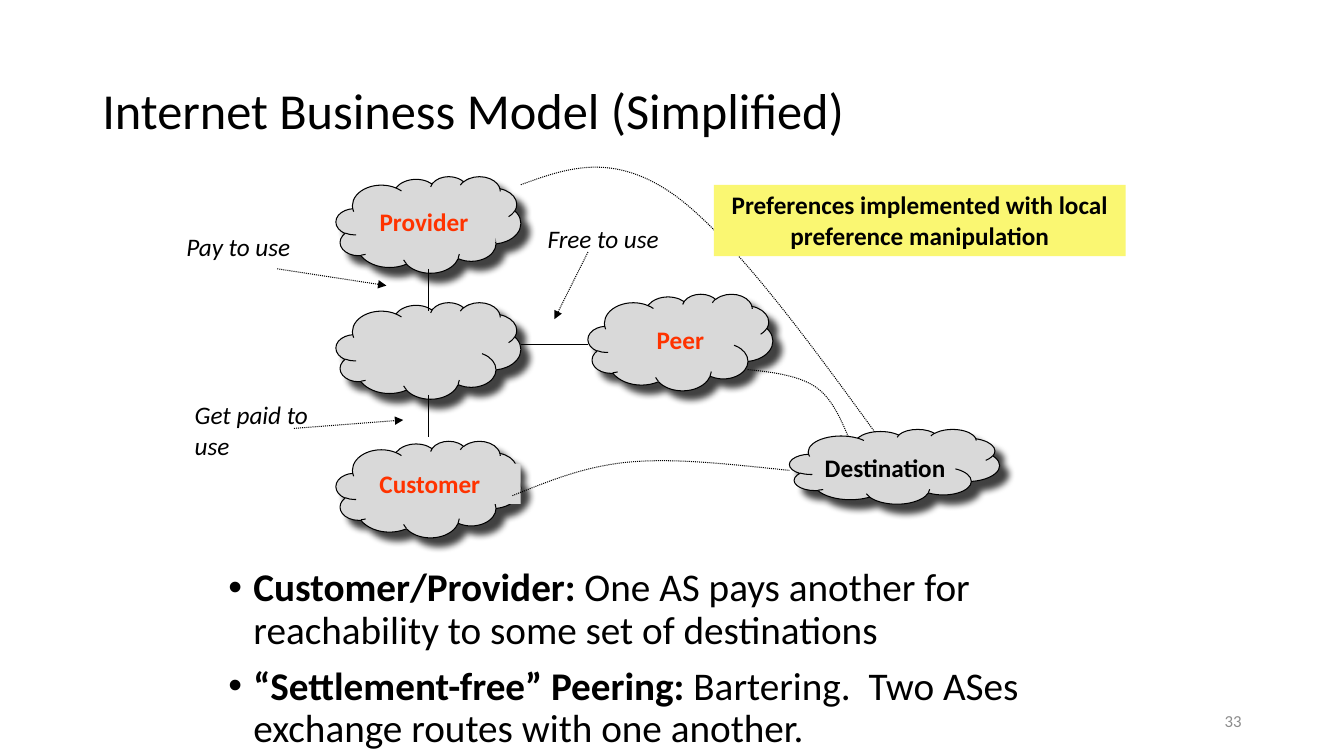
from lxml.etree import SubElement
from pptx import Presentation
from pptx.dml.color import RGBColor
from pptx.enum.dml import MSO_LINE
from pptx.enum.shapes import MSO_CONNECTOR, MSO_SHAPE
from pptx.enum.text import MSO_ANCHOR, PP_ALIGN
from pptx.oxml.ns import qn
from pptx.util import Emu, Inches, Pt

COLUMNS, ROWS = 160, 90
CELL = Inches(1 / 12)
COLORS = {"ink": "000000", "accent": "FF3300", "cloud": "D9D9D9",
          "note": "FAF772", "number": "8C8C8C"}
CLOUD_SIZE = (22, 11.5)
CLOUDS = [(20, 18, *CLOUD_SIZE), (50, 17, *CLOUD_SIZE),
          (20, 3, *CLOUD_SIZE), (20, 34.5, *CLOUD_SIZE)]
DESTINATION_CLOUD = (74, 33.1, 25, 8.9)
ROLES = [("Provider", (24, 6, 15, 4.8), "cloud"),
         ("Peer", (57, 20, 15, 4.8), None),
         ("Customer", (24, 37.2, 18, 4.8), "cloud")]
REMARKS = [("Pay to use", (1, 9, 17, 4.8)),
           ("Get paid to use", (2, 29, 17, 8.5)),
           ("Free to use", (44, 8, 20, 4.8))]
LINKS = [((31, 14), (31, 19)), ((31, 29), (31, 34)), ((42, 23), (50, 23))]
POINTERS = [((13, 14), (26, 16)), ((15, 33), (28, 32)), ((50, 12), (46, 20))]
PROVIDER_ROUTE = [(42, 4), (47.5, 2), (53, 0), (60.4, 5.3),
                  (67.7, 10.7), (76.8, 23.3), (86, 36)]
PEER_ROUTE = [(69, 26), (72, 26.3), (75, 26.7), (77, 28),
              (79, 29.3), (80, 31.7), (81, 34)]
CUSTOMER_ROUTE = [(41, 41), (45.3, 39.3), (49.5, 37.5), (55, 37),
                  (60.5, 36.5), (67.2, 37.3), (74, 38)]
BULLETS = [("Customer/Provider:",
            " One AS pays another for reachability to some set of destinations"),
           ("“Settlement-free” Peering: ",
            "Bartering.  Two ASes exchange routes with one another.")]


def color(name):
    """Return the named colour."""
    return RGBColor.from_string(COLORS[name])


def cells(*values):
    """Turn grid cells into lengths."""
    return [Emu(round(value * CELL)) for value in values]


def within(box, part):
    """Shift a part's box or point by the corner of the enclosing box."""
    return (box[0] + part[0], box[1] + part[1], *part[2:])


def add_run(paragraph, text, ink="ink", **formats):
    """Append a run with the given font formats."""
    run = paragraph.add_run()
    run.text = text
    for name, value in {"name": "Calibri", **formats}.items():
        setattr(run.font, name, value)
    run.font.color.rgb = color(ink)


def add_text(slide, box, text="", ink="ink", fill=None, align=PP_ALIGN.LEFT,
             anchor=MSO_ANCHOR.TOP, **formats):
    """Add a wrapping text box, optionally filled, and return its frame."""
    if fill:
        shape = slide.shapes.add_shape(MSO_SHAPE.RECTANGLE, *cells(*box))
        shape.shadow.inherit = False
        shape.fill.solid()
        shape.fill.fore_color.rgb = color(fill)
        shape.line.fill.background()
    else:
        shape = slide.shapes.add_textbox(*cells(*box))
    frame = shape.text_frame
    frame.word_wrap = True
    frame.vertical_anchor = anchor
    paragraph = frame.paragraphs[0]
    paragraph.alignment = align
    if text:
        add_run(paragraph, text, ink, **formats)
    return frame


def style_line(line, dotted=False):
    """Draw a thin dark line, dotted on request."""
    line.color.rgb = color("ink")
    line.width = Pt(0.75)
    if dotted:
        line.dash_style = MSO_LINE.ROUND_DOT


def add_cloud(slide, box):
    """Add a grey cloud with a soft shadow."""
    cloud = slide.shapes.add_shape(MSO_SHAPE.CLOUD, *cells(*box))
    cloud.fill.solid()
    cloud.fill.fore_color.rgb = color("cloud")
    style_line(cloud.line)
    cloud.shadow.inherit = False
    effects = cloud._element.spPr.find(qn("a:effectLst"))
    shadow = SubElement(effects, qn("a:outerShdw"), blurRad=str(Pt(5)),
                        dist=str(Pt(8.5)), dir="2700000", algn="tl", rotWithShape="0")
    tint = SubElement(shadow, qn("a:srgbClr"), val=COLORS["ink"])
    SubElement(tint, qn("a:alpha"), val="75000")


def add_route(slide, box, points):
    """Add a dotted Bézier curve through a start and triples of points."""
    start, *rest = [cells(*within(box, point)) for point in points]
    builder = slide.shapes.build_freeform(*start)
    builder.add_line_segments(rest, close=False)
    route = builder.convert_to_shape()
    segments = route._element.xpath(".//a:lnTo")
    outline = segments[0].getparent()
    for first in range(0, len(segments), 3):
        curve = SubElement(outline, qn("a:cubicBezTo"))
        for segment in segments[first:first + 3]:
            curve.append(segment[0])
            outline.remove(segment)
    route.fill.background()
    style_line(route.line, dotted=True)
    route.shadow.inherit = False


def add_link(slide, box, start, end, pointer=False):
    """Add a plain link, or a dotted pointer with an arrowhead."""
    link = slide.shapes.add_connector(
        MSO_CONNECTOR.STRAIGHT, *cells(*within(box, start), *within(box, end)))
    style_line(link.line, dotted=pointer)
    if pointer:
        SubElement(link.line._get_or_add_ln(), qn("a:tailEnd"), type="triangle")
    SubElement(link._element.spPr, qn("a:effectLst"))


def add_diagram(slide, box):
    """Add the clouds, routes, links and remarks."""
    add_route(slide, box, PROVIDER_ROUTE)
    for cloud in CLOUDS:
        add_cloud(slide, within(box, cloud))
    for text, place, fill in ROLES:
        add_text(slide, within(box, place), text, "accent", fill,
                 size=Pt(18), bold=True)
    for start, end in LINKS:
        add_link(slide, box, start, end)
    add_text(slide, within(box, (65, 4, 49, 8.5)),
             "Preferences implemented with local preference manipulation",
             fill="note", align=PP_ALIGN.CENTER, size=Pt(18), bold=True)
    add_cloud(slide, within(box, DESTINATION_CLOUD))
    for points in (PEER_ROUTE, CUSTOMER_ROUTE):
        add_route(slide, box, points)
    add_text(slide, within(box, (77, 35.2, 21, 4.8)), "Destination",
             size=Pt(18), bold=True)
    for text, place in REMARKS:
        add_text(slide, within(box, place), text, size=Pt(18), italic=True)
    for start, end in POINTERS:
        add_link(slide, box, start, end, pointer=True)


def add_bullets(slide, box):
    """Add the bulleted definitions."""
    frame = add_text(slide, box)
    for index, (term, meaning) in enumerate(BULLETS):
        paragraph = frame.add_paragraph() if index else frame.paragraphs[0]
        paragraph.line_spacing = 0.9
        paragraph.space_before = Pt(10 if index else 0)
        properties = paragraph._p.get_or_add_pPr()
        properties.set("marL", str(Inches(0.25)))
        properties.set("indent", str(-Inches(0.25)))
        SubElement(properties, qn("a:buFont"), typeface="Arial")
        SubElement(properties, qn("a:buChar"), char="•")
        add_run(paragraph, term, size=Pt(28), bold=True)
        add_run(paragraph, meaning, size=Pt(28), bold=False)


def main():
    """Build and save the slide."""
    presentation = Presentation()
    presentation.slide_width, presentation.slide_height = cells(COLUMNS, ROWS)
    slide = presentation.slides.add_slide(presentation.slide_layouts[6])
    title = add_text(slide, (11, 4.8, 138, 17.4), "Internet Business Model (Simplified)",
                     anchor=MSO_ANCHOR.MIDDLE, size=Pt(36))
    title.paragraphs[0].line_spacing = 0.9
    add_bullets(slide, (26, 67, 108, 24.4))
    add_text(slide, (113, 83.4, 36, 4.8), "33", "number", align=PP_ALIGN.RIGHT,
             anchor=MSO_ANCHOR.MIDDLE, size=Pt(12))
    add_diagram(slide, (20, 18, 116, 46))
    presentation.save("out.pptx")


if __name__ == "__main__":
    main()
